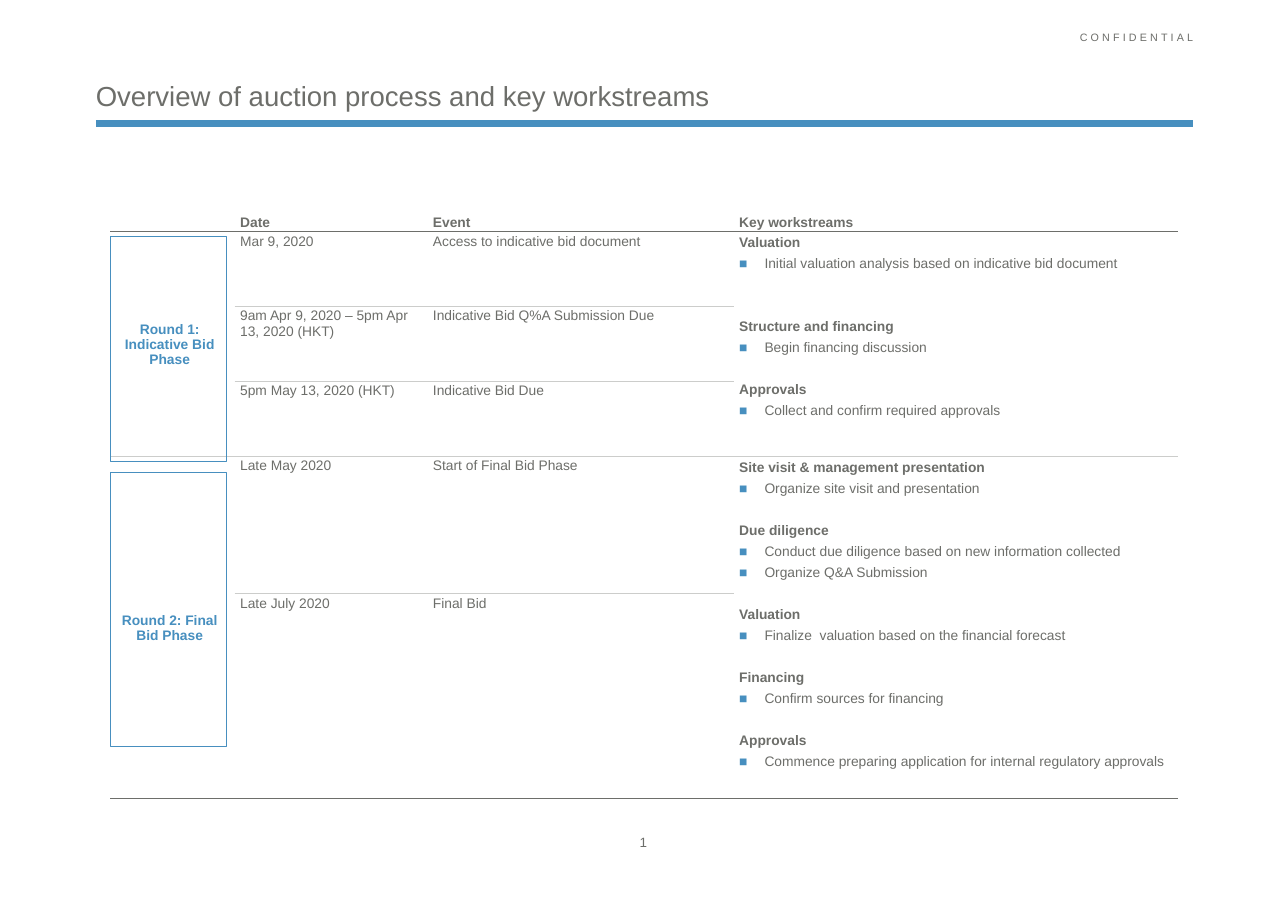
from lxml.etree import SubElement
from pptx import Presentation
from pptx.dml.color import RGBColor as RGB
from pptx.enum.shapes import MSO_CONNECTOR as CONN, MSO_SHAPE as SHAPE
from pptx.enum.text import MSO_ANCHOR as ANCHOR, PP_ALIGN as ALIGN
from pptx.oxml.ns import qn
from pptx.util import Inches, Pt

COLORS = {"blue": "478FBF", "text": "6D6E6A", "rule": "CCCDCB"}
FONT = "Arial"
NO_STYLE = "{2D5ABB26-0587-4C30-8999-92F81FD0307C}"
WIDTH, HEIGHT = 11.69, 8.27
LEFT, RIGHT = 7.44, 92.64                # page margins
TABLE_X, TABLE_Y = 8.55, 23.1
COL_WIDTHS = [9.67, 14.97, 23.78, 34.47]
ROW_HEIGHTS = [2.3, 8.22, 8.22, 8.22, 15.11, 22.49]
BLANK_LINE = 13.8                        # points left between workstreams

HEADERS = ["Date", "Event", "Key workstreams"]
EVENTS = [
    ("Mar 9, 2020", "Access to indicative bid document"),
    ("9am Apr 9, 2020 – 5pm Apr 13, 2020 (HKT)", "Indicative Bid Q%A Submission Due"),
    ("5pm May 13, 2020 (HKT)", "Indicative Bid Due"),
    ("Late May 2020", "Start of Final Bid Phase"),
    ("Late July 2020", "Final Bid"),
]
# Name, first row, last row, workstreams (blank lines before, heading, items)
ROUNDS = [
    ("Round 1: Indicative Bid Phase", 1, 3, [
        (0, "Valuation", ["Initial valuation analysis based on indicative bid document"]),
        (2, "Structure and financing", ["Begin financing discussion"]),
        (1, "Approvals", ["Collect and confirm required approvals"]),
    ]),
    ("Round 2: Final Bid Phase", 4, 5, [
        (0, "Site visit & management presentation", ["Organize site visit and presentation"]),
        (1, "Due diligence", ["Conduct due diligence based on new information collected",
                              "Organize Q&A Submission"]),
        (1, "Valuation", ["Finalize  valuation based on the financial forecast"]),
        (1, "Financing", ["Confirm sources for financing"]),
        (1, "Approvals", ["Commence preparing application for internal regulatory approvals"]),
    ]),
]
FRAMES = [(26, 24.67), (51.87, 30.11)]   # top and height of the round frames


def col(n):
    """Length of n columns on a page grid of 100 columns."""
    return Inches(WIDTH * n / 100)


def row(n):
    """Length of n rows on a page grid of 100 rows."""
    return Inches(HEIGHT * n / 100)


def color(name):
    return RGB.from_string(COLORS[name])


def style(p, size=9, bold=False, name="text", align=ALIGN.LEFT):
    p.alignment = align
    for r in p.runs:
        r.font.name, r.font.size, r.font.bold = FONT, Pt(size), bold
        r.font.color.rgb = color(name)


def clear_margins(tf):
    tf.margin_left = tf.margin_right = tf.margin_top = tf.margin_bottom = 0


def add_title(slide, text):
    sp = slide.shapes.title
    sp.left, sp.top, sp.width, sp.height = col(LEFT), row(3.26), col(RIGHT - LEFT), row(9.07)
    tf = sp.text_frame
    clear_margins(tf)
    tf.vertical_anchor = ANCHOR.BOTTOM
    tf.text = text
    style(tf.paragraphs[0], 18)


def add_label(slide, x, y, w, h, text, size, align, anchor=ANCHOR.TOP, wrap=True):
    tf = slide.shapes.add_textbox(col(x), row(y), col(w), row(h)).text_frame
    clear_margins(tf)
    tf.word_wrap, tf.vertical_anchor = wrap, anchor
    tf.text = text
    p = tf.paragraphs[0]
    p.line_spacing = 1.1
    style(p, size, align=align)
    return p


def add_rule(slide, y):
    line = slide.shapes.add_connector(CONN.STRAIGHT, col(LEFT), row(y), col(RIGHT), row(y))
    line.line.color.rgb, line.line.width = color("blue"), Pt(4.5)
    SubElement(line._element.spPr, qn("a:effectLst"))


def add_frame(slide, y, h):
    sp = slide.shapes.add_shape(SHAPE.RECTANGLE, col(TABLE_X), row(y), col(9.07), row(h))
    sp.shadow.inherit = False
    sp.fill.background()
    sp.line.color.rgb, sp.line.width = color("blue"), Pt(0.75)


def set_border(cell, side, name):
    tcPr = cell._tc.get_or_add_tcPr()
    ln = SubElement(tcPr, qn(f"a:{side}"), w=str(Pt(0.5)))
    fill = SubElement(ln, qn("a:solidFill"))
    SubElement(fill, qn("a:srgbClr"), val=COLORS[name])


def set_bullet(p):
    pPr = p._p.get_or_add_pPr()
    pPr.set("marL", str(Inches(0.23)))
    pPr.set("indent", str(-Inches(0.23)))
    SubElement(SubElement(pPr, qn("a:buClr")), qn("a:srgbClr"), val=COLORS["blue"])
    SubElement(pPr, qn("a:buFont"), typeface=FONT)
    SubElement(pPr, qn("a:buChar"), char="■")


def fill_cell(cell, text, anchor=ANCHOR.TOP, **look):
    cell.text = text
    cell.vertical_anchor = anchor
    p = cell.text_frame.paragraphs[0]
    p.space_after = Pt(3)
    style(p, **look)


def fill_workstreams(cell, workstreams):
    lines = []
    for blanks, heading, items in workstreams:
        lines.append((heading, blanks, True))
        lines += [(item, 0, False) for item in items]
    tf = cell.text_frame
    for i, (text, blanks, is_heading) in enumerate(lines):
        p = tf.add_paragraph() if i else tf.paragraphs[0]
        p.text = text
        p.line_spacing = 1.1
        p.space_before = Pt(2.6 + blanks * BLANK_LINE)
        style(p, bold=is_heading)
        if not is_heading:
            set_bullet(p)


def draw_borders(table):
    starts, ends = [1, 4], [0, 3, 5]
    for r in range(len(ROW_HEIGHTS)):
        for c in range(len(COL_WIDTHS)):
            cell = table.cell(r, c)
            inner = c in (1, 2)
            if r and (inner or r in starts):
                set_border(cell, "lnT", "text" if r == 1 else "rule")
            if inner or r in ends or cell.is_merge_origin:
                last = r + cell.span_height - 1 if cell.is_merge_origin else r
                set_border(cell, "lnB", "text" if last in (0, 5) else "rule")
            SubElement(cell._tc.tcPr, qn("a:noFill"))


def add_schedule(slide):
    frame = slide.shapes.add_table(len(ROW_HEIGHTS), len(COL_WIDTHS), col(TABLE_X),
                                   row(TABLE_Y), col(sum(COL_WIDTHS)), row(sum(ROW_HEIGHTS)))
    table = frame.table
    table.first_row = table.horz_banding = False
    table._tbl.tblPr.find(qn("a:tableStyleId")).text = NO_STYLE
    for column, w in zip(table.columns, COL_WIDTHS):
        column.width = col(w)
    for table_row, h in zip(table.rows, ROW_HEIGHTS):
        table_row.height = row(h)
    for cell in table.iter_cells():
        cell.margin_left, cell.margin_right = Inches(0.05), Inches(0.1)
        cell.margin_top, cell.margin_bottom = Inches(0.02), 0

    # Header and events
    for c, text in enumerate(HEADERS, 1):
        fill_cell(table.cell(0, c), text, ANCHOR.BOTTOM, bold=True)
        table.cell(0, c).margin_bottom = Inches(0.01)
    for r, event in enumerate(EVENTS, 1):
        for c, text in enumerate(event, 1):
            fill_cell(table.cell(r, c), text)

    # Rounds and their workstreams
    for name, first, last, workstreams in ROUNDS:
        for c in (0, 3):
            table.cell(first, c).merge(table.cell(last, c))
        fill_cell(table.cell(first, 0), name, ANCHOR.MIDDLE,
                  bold=True, name="blue", align=ALIGN.CENTER)
        fill_workstreams(table.cell(first, 3), workstreams)

    # Small text size in empty cells keeps the rows low
    for cell in table.iter_cells():
        if not cell.text:
            SubElement(cell.text_frame.paragraphs[0]._p, qn("a:endParaRPr"), sz="900")
    draw_borders(table)


def main():
    prs = Presentation()
    prs.slide_width, prs.slide_height = Inches(WIDTH), Inches(HEIGHT)
    slide = prs.slides.add_slide(prs.slide_layouts[5])

    # Page head
    add_rule(slide, 13.54)
    p = add_label(slide, 25.49, 3.26, 67.15, 2.9, "CONFIDENTIAL", 7, ALIGN.RIGHT)
    p.runs[0].font._element.set("spc", "210")
    add_title(slide, "Overview of auction process and key workstreams")

    # Page number
    add_label(slide, 48.93, 91.17, 2.05, 2.3, "1", 8.8, ALIGN.CENTER, ANCHOR.MIDDLE, False)

    # Schedule and round frames
    add_schedule(slide)
    for y, h in FRAMES:
        add_frame(slide, y, h)
    prs.save("out.pptx")


if __name__ == "__main__":
    main()
